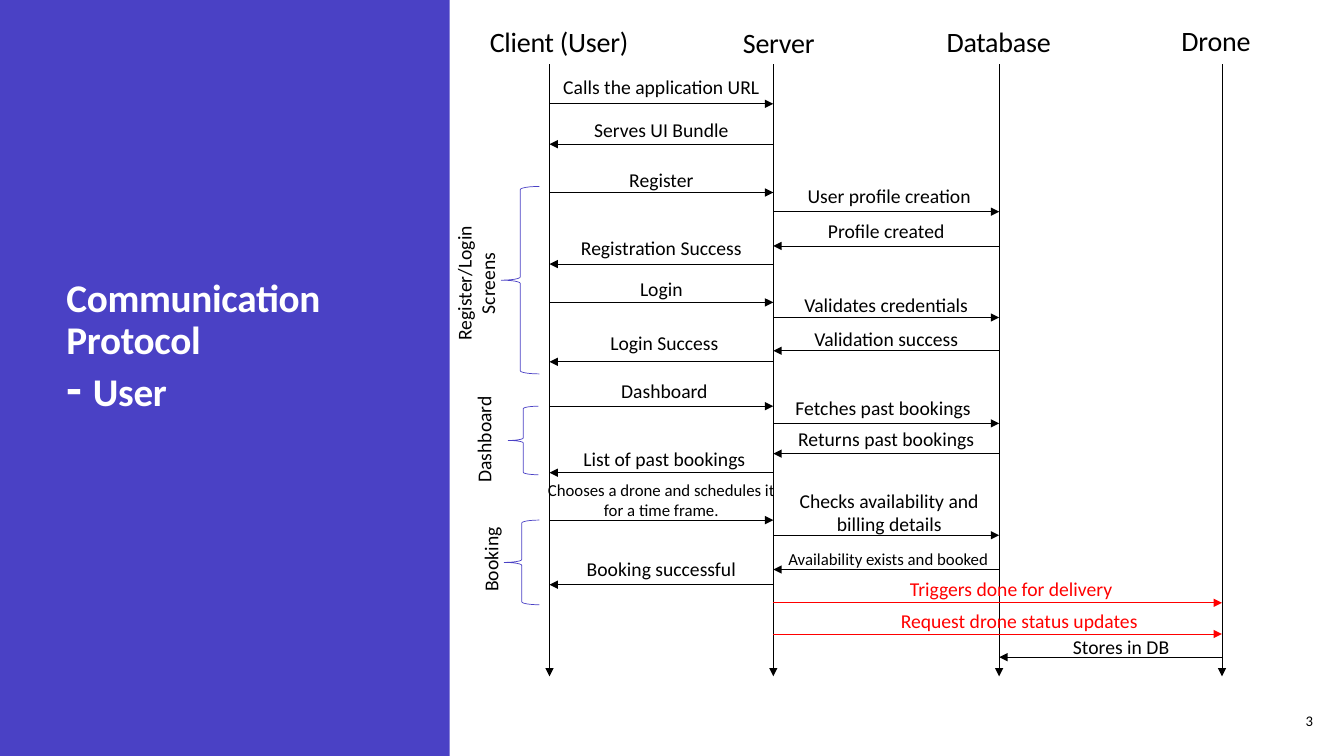
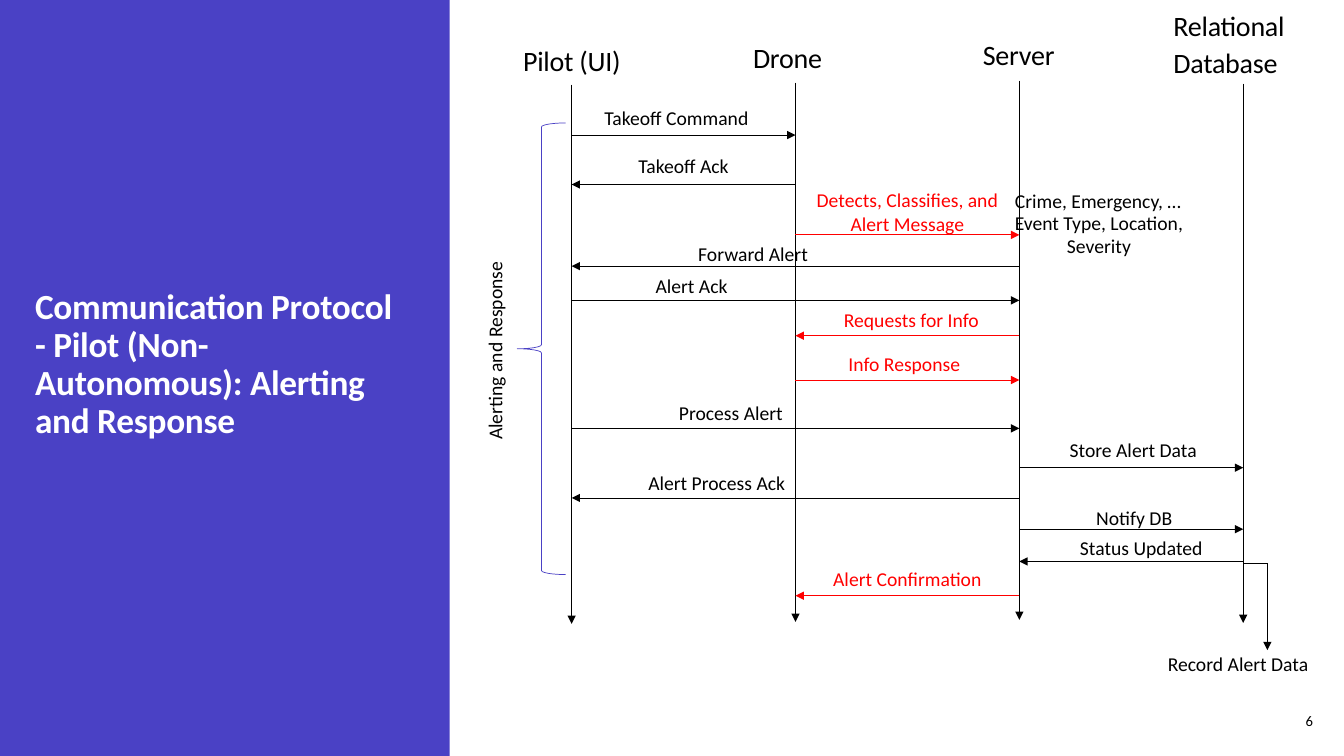
"""Build two sequence-diagram slides describing a drone service's communication protocols."""
from dataclasses import dataclass
from typing import NamedTuple, Optional

from lxml import etree
from pptx import Presentation
from pptx.dml.color import RGBColor
from pptx.enum.shapes import MSO_CONNECTOR, MSO_SHAPE
from pptx.enum.text import MSO_ANCHOR, PP_ALIGN
from pptx.oxml.ns import qn
from pptx.slide import Slide
from pptx.util import Inches, Pt

LEFT, CENTER, RIGHT = PP_ALIGN.LEFT, PP_ALIGN.CENTER, PP_ALIGN.RIGHT
TOP, MIDDLE, BOTTOM = MSO_ANCHOR.TOP, MSO_ANCHOR.MIDDLE, MSO_ANCHOR.BOTTOM
RECTANGLE, LEFT_BRACE = MSO_SHAPE.RECTANGLE, MSO_SHAPE.LEFT_BRACE
STRAIGHT = MSO_CONNECTOR.STRAIGHT


@dataclass(frozen=True)
class Theme:
    font: str = "Calibri"
    accent: str = "4A41C5"
    ink: str = "000000"
    alert: str = "FF0000"
    paper: str = "FFFFFF"
    heading: float = 20
    label: float = 14
    small: float = 12
    number: float = 10.5
    stroke: float = 0.5
    tracking: str = "-20"


THEME = Theme()
ONE_LINE, TWO_LINES = 0.34, 0.57


class Box(NamedTuple):
    left: float
    top: float
    width: float
    height: float


class Phrase(NamedTuple):
    text: str
    size: float


class Lane(NamedTuple):
    name: str
    x: float
    start: float
    name_left: float
    name_top: float
    name_width: float


class Message(NamedTuple):
    text: str
    source: int
    target: int
    y: float
    label_top: float
    label_x: Optional[float] = None
    color: str = THEME.ink
    width: float = 2.2
    size: float = THEME.label


class Phase(NamedTuple):
    name: str
    brace: Box
    label_x: float
    label_y: float


class Note(NamedTuple):
    text: str
    x: float
    top: float
    width: float = 2.2


@dataclass(frozen=True)
class Protocol:
    title: tuple[tuple[Phrase, ...], ...]
    title_box: Box
    number: str
    lane_length: float
    lanes: tuple[Lane, ...]
    messages: tuple[Message, ...]
    phases: tuple[Phase, ...]
    notes: tuple[Note, ...] = ()
    elbow: tuple[tuple[float, float], ...] = ()


USER = Protocol(
    title=((Phrase("Communication Protocol", 28),), (Phrase("- ", 36), Phrase("User", 28))),
    title_box=Box(0.56, 2.42, 3.51, 1.77),
    number="3",
    lane_length=6.07,
    lanes=(
        Lane("Client (User)", 5.45, 0.64, 4.76, 0.16, 1.7),
        Lane("Server", 7.67, 0.64, 7.27, 0.17, 1.05),
        Lane("Database", 9.91, 0.64, 9.29, 0.16, 1.5),
        Lane("Drone", 12.12, 0.64, 11.62, 0.15, 1),
    ),
    messages=(
        Message("Calls the application URL", 0, 1, 1.03, 0.69, width=2.44),
        Message("Serves UI Bundle", 1, 0, 1.43, 1.12),
        Message("Register", 0, 1, 1.91, 1.62),
        Message("User profile creation", 1, 2, 2.1, 1.78, 8.82),
        Message("Profile created", 2, 1, 2.44, 2.12),
        Message("Registration Success", 1, 0, 2.62, 2.29),
        Message("Login", 0, 1, 3, 2.7),
        Message("Validates credentials", 1, 2, 3.15, 2.86),
        Message("Validation success", 2, 1, 3.48, 3.19),
        Message("Login Success", 1, 0, 3.59, 3.23, 6.59),
        Message("Dashboard", 0, 1, 4.03, 3.71, 6.59),
        Message("Fetches past bookings", 1, 2, 4.2, 3.88, 8.76),
        Message("Returns past bookings", 2, 1, 4.5, 4.19),
        Message("List of past bookings", 1, 0, 4.69, 4.38, 6.59),
        Message("Chooses a drone and schedules it for a time frame.", 0, 1, 5.16, 4.71,
                width=2.66, size=THEME.small),
        Message("Checks availability and billing details", 1, 2, 5.31, 4.8, 8.82),
        Message("Availability exists and booked", 2, 1, 5.65, 5.39, 8.81,
                width=2.62, size=THEME.small),
        Message("Booking successful", 1, 0, 5.8, 5.48),
        Message("Triggers done for delivery", 1, 3, 5.98, 5.67, 10.03, THEME.alert, 2.62),
        Message("Request drone status updates", 1, 3, 6.29, 5.99, 10.11, THEME.alert, 2.87),
        Message("Stores in DB", 3, 2, 6.52, 6.25, 11.12),
    ),
    phases=(
        Phase("Register/Login\nScreens", Box(4.97, 1.85, 0.38, 1.86), 4.72, 2.81),
        Phase("Dashboard", Box(5.04, 4.03, 0.3, 0.68), 4.8, 4.36),
        Phase("Booking", Box(5, 5.16, 0.35, 0.84), 4.87, 5.55),
    ),
)

PILOT = Protocol(
    title=(
        (Phrase("Communication Protocol", 25.2),),
        (Phrase("- Pilot (Non- Autonomous): Alerting and Response", 25.2),),
    ),
    title_box=Box(0.25, 2.23, 4.03, 2.2),
    number="6",
    lane_length=5.35,
    lanes=(
        Lane("Pilot (UI)", 5.67, 0.84, 5.09, 0.35, 1.3),
        Lane("Drone", 7.89, 0.82, 7.37, 0.32, 1.01),
        Lane("Server", 10.11, 0.8, 9.65, 0.29, 1.01),
        Lane("Relational Database", 12.33, 0.83, 11.54, 0, 1.54),
    ),
    messages=(
        Message("Takeoff Command", 0, 1, 1.34, 1, 6.71),
        Message("Takeoff Ack", 1, 0, 1.83, 1.48),
        Message("Detects, Classifies, and Alert Message", 1, 2, 2.33, 1.82, color=THEME.alert),
        Message("Forward Alert", 2, 0, 2.64, 2.35, 7.47),
        Message("Alert Ack", 0, 2, 2.98, 2.67, 6.86),
        Message("Requests for Info", 2, 1, 3.33, 3.01, 9.04, THEME.alert),
        Message("Info Response", 1, 2, 3.77, 3.44, 8.97, THEME.alert),
        Message("Process Alert", 0, 2, 4.25, 3.93, 7.25),
        Message("Store Alert Data", 2, 3, 4.64, 4.3, 11.24),
        Message("Alert Process Ack", 2, 0, 4.94, 4.62, 7.11),
        Message("Notify DB", 2, 3, 5.25, 4.97, 11.25),
        Message("Status Updated", 3, 2, 5.57, 5.27, 11.32),
        Message("Alert Confirmation", 2, 1, 5.91, 5.58, color=THEME.alert),
    ),
    phases=(Phase("Alerting and Response", Box(5.13, 1.22, 0.48, 4.48), 4.91, 3.48),),
    notes=(
        Note("Crime, Emergency, …", 10.89, 1.83),
        Note("Event Type, Location, Severity", 10.9, 2.04),
        Note("Record Alert Data", 12.28, 6.42, 1.9),
    ),
    elbow=((12.33, 5.59), (12.57, 5.59), (12.57, 6.45)),
)


def inches(box: Box) -> list[int]:
    return [Inches(length) for length in box]


def add_text(slide: Slide, box: Box, lines: tuple[tuple[Phrase, ...], ...], color: str = THEME.ink,
             align: PP_ALIGN = CENTER, anchor: MSO_ANCHOR = TOP, spacing: float = 1,
             bold: bool = False, tight: bool = False, rotation: float = 0) -> None:
    holder = slide.shapes.add_textbox(*inches(box))
    holder.rotation = rotation
    frame = holder.text_frame
    for name, value in {"word_wrap": True, "vertical_anchor": anchor}.items():
        setattr(frame, name, value)
    for index, phrases in enumerate(lines):
        line = frame.add_paragraph() if index else frame.paragraphs[0]
        for name, value in {"alignment": align, "line_spacing": spacing}.items():
            setattr(line, name, value)
        for phrase in phrases:
            run = line.add_run()
            run.text = phrase.text
            for name, value in {"name": THEME.font, "size": Pt(phrase.size), "bold": bold}.items():
                setattr(run.font, name, value)
            run.font.color.rgb = RGBColor.from_string(color)
            if tight:
                run._r.get_or_add_rPr().set("spc", THEME.tracking)


def add_label(slide: Slide, text: str, x: float, top: float, width: float = 2.2,
              color: str = THEME.ink, size: float = THEME.label, rotation: float = 0) -> None:
    lines = tuple((Phrase(line, size),) for line in text.split("\n"))
    height = TWO_LINES if len(lines) > 1 else ONE_LINE
    add_text(slide, Box(x - width / 2, top, width, height), lines, color, rotation=rotation)


def add_line(slide: Slide, start: tuple[float, float], end: tuple[float, float],
             color: str = THEME.ink, arrow: bool = True) -> None:
    line = slide.shapes.add_connector(STRAIGHT, *[Inches(length) for length in (*start, *end)])
    line.line.color.rgb = RGBColor.from_string(color)
    line.line.width = Pt(THEME.stroke)
    properties = line._element.spPr
    if arrow:
        etree.SubElement(properties.find(qn("a:ln")), qn("a:tailEnd"), type="triangle")
    etree.SubElement(properties, qn("a:effectLst"))


def add_frame(slide: Slide, protocol: Protocol) -> None:
    band = slide.shapes.add_shape(RECTANGLE, *inches(Box(0, 0, 4.46, 7.5)))
    band.shadow.inherit = False
    band.fill.solid()
    band.fill.fore_color.rgb = RGBColor.from_string(THEME.accent)
    band.line.fill.background()
    add_text(slide, protocol.title_box, protocol.title, THEME.paper, LEFT, BOTTOM, 0.9,
             bold=True, tight=True)
    add_text(slide, Box(12.43, 6.95, 0.69, 0.4), ((Phrase(protocol.number, THEME.number),),),
             align=RIGHT, anchor=MIDDLE)


def add_lane(slide: Slide, lane: Lane, length: float) -> None:
    add_line(slide, (lane.x, lane.start), (lane.x, lane.start + length))
    add_text(slide, Box(lane.name_left, lane.name_top, lane.name_width, 0.45),
             ((Phrase(lane.name, THEME.heading),),), align=LEFT, spacing=1.1, tight=True)


def add_message(slide: Slide, message: Message, lanes: tuple[Lane, ...]) -> None:
    start, end = lanes[message.source].x, lanes[message.target].x
    add_line(slide, (start, message.y), (end, message.y), message.color)
    center = (start + end) / 2 if message.label_x is None else message.label_x
    add_label(slide, message.text, center, message.label_top, message.width,
              message.color, message.size)


def add_phase(slide: Slide, phase: Phase) -> None:
    brace = slide.shapes.add_shape(LEFT_BRACE, *inches(phase.brace))
    brace.shadow.inherit = False
    brace.fill.background()
    brace.line.color.rgb = RGBColor.from_string(THEME.accent)
    brace.line.width = Pt(THEME.stroke)
    height = TWO_LINES if "\n" in phase.name else ONE_LINE
    add_label(slide, phase.name, phase.label_x, phase.label_y - height / 2, 2.34, rotation=270)


def add_protocol(slide: Slide, protocol: Protocol) -> None:
    add_frame(slide, protocol)
    for lane in protocol.lanes:
        add_lane(slide, lane, protocol.lane_length)
    for message in protocol.messages:
        add_message(slide, message, protocol.lanes)
    for phase in protocol.phases:
        add_phase(slide, phase)
    for note in protocol.notes:
        add_label(slide, note.text, note.x, note.top, note.width)
    for start, end in zip(protocol.elbow, protocol.elbow[1:]):
        add_line(slide, start, end, arrow=end == protocol.elbow[-1])


def main() -> None:
    deck = Presentation()
    deck.slide_width, deck.slide_height = Inches(13.33), Inches(7.5)
    blank = deck.slide_layouts[6]
    for protocol in (USER, PILOT):
        add_protocol(deck.slides.add_slide(blank), protocol)
    deck.save("out.pptx")


if __name__ == "__main__":
    main()
